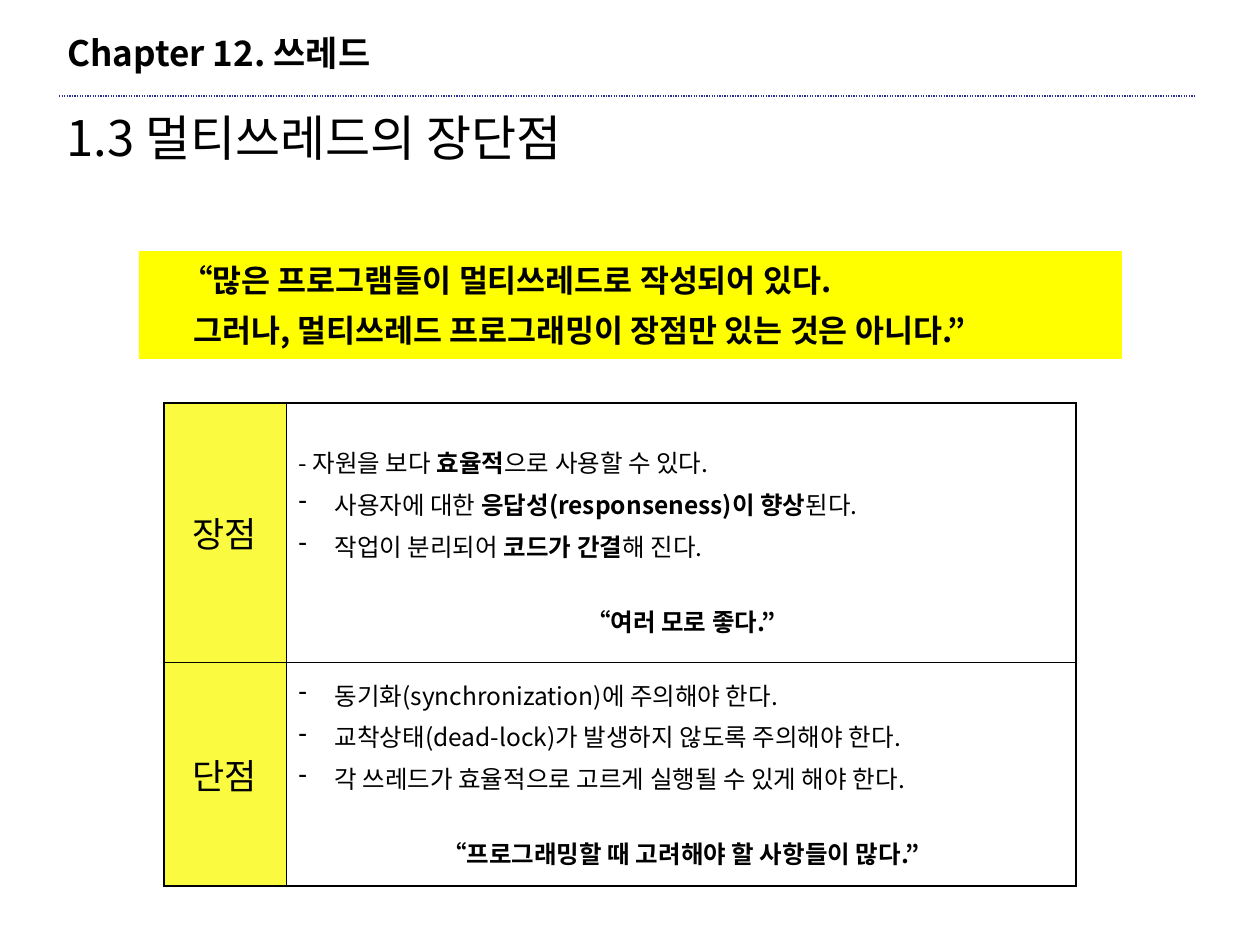
from lxml import etree
from pptx import Presentation
from pptx.dml.color import RGBColor
from pptx.enum.dml import MSO_LINE
from pptx.enum.shapes import MSO_CONNECTOR, MSO_SHAPE
from pptx.enum.text import MSO_ANCHOR, PP_ALIGN
from pptx.oxml.ns import qn
from pptx.util import Emu, Pt

STRAIGHT = MSO_CONNECTOR.STRAIGHT
RECT = MSO_SHAPE.RECTANGLE
DOTTED = MSO_LINE.ROUND_DOT
MIDDLE = MSO_ANCHOR.MIDDLE
LEFT, CENTER = PP_ALIGN.LEFT, PP_ALIGN.CENTER

FONT = "Noto Sans CJK KR"
COLORS = {"text": "000000", "rule": "2F2F98", "banner": "FFFF00", "label": "FAFA40"}
OUTER, INNER = 1.08, 0.45  # table border widths in points


def px(n):
    return Emu(round(n * 914400 / 126))


def rgb(name):
    return RGBColor.from_string(COLORS[name])


class Deck:
    def __init__(self, width, height):
        self.prs = Presentation()
        self.prs.slide_width, self.prs.slide_height = px(width), px(height)
        self.slide = self.prs.slides.add_slide(self.prs.slide_layouts[6])

    def paragraph(self, p, text, size, bold=False, align=LEFT, before=0, left=0, bullet=None):
        """Fill a paragraph; parts between asterisks are bold."""
        pPr = p._p.get_or_add_pPr()
        pPr.set("marL", str(px(left)))
        pPr.set("indent", str(-px(left) if bullet else 0))
        if bullet:
            etree.SubElement(pPr, qn("a:buChar")).set("char", bullet)
        else:
            etree.SubElement(pPr, qn("a:buNone"))
        p.alignment = align
        p.space_before = Pt(before)
        for i, part in enumerate(text.split("*")):
            if not part:
                continue
            r = p.add_run()
            r.text = part
            r.font.size, r.font.name = Pt(size), FONT
            r.font.bold = bold or i % 2 == 1
            r.font.color.rgb = rgb("text")
            etree.SubElement(r.font._element, qn("a:ea")).set("typeface", FONT)

    def paragraphs(self, tf, lines, size, **style):
        """Add one paragraph per (text, own style) pair."""
        tf.word_wrap = True
        for i, (text, own) in enumerate(lines):
            p = tf.add_paragraph() if i else tf.paragraphs[0]
            self.paragraph(p, text, size, **{**style, **own})

    def text(self, x, y, w, h, text, size, bold=False):
        tf = self.slide.shapes.add_textbox(px(x), px(y), px(w), px(h)).text_frame
        tf.vertical_anchor = MIDDLE
        self.paragraphs(tf, [(text, {})], size, bold=bold)

    def rule(self, x1, x2, y):
        s = self.slide.shapes.add_connector(STRAIGHT, px(x1), px(y), px(x2), px(y))
        s.line.color.rgb = rgb("rule")
        s.line.width = Pt(0.75)
        s.line.dash_style = DOTTED
        etree.SubElement(s._element.spPr, qn("a:effectLst"))

    def banner(self, x, y, w, h, lines, size):
        sp = self.slide.shapes.add_shape(RECT, px(x), px(y), px(w), px(h))
        sp.shadow.inherit = False
        sp.fill.solid()
        sp.fill.fore_color.rgb = rgb("banner")
        sp.line.fill.background()
        tf = sp.text_frame
        tf.vertical_anchor = MIDDLE
        tf.margin_top = tf.margin_bottom = 0
        self.paragraphs(tf, lines, size, bold=True)

    def border(self, cell, widths):
        tcPr = cell._tc.get_or_add_tcPr()
        for side, width in zip("LRTB", widths):
            ln = etree.SubElement(tcPr, qn("a:ln" + side), w=str(Pt(width)))
            fill = etree.SubElement(ln, qn("a:solidFill"))
            etree.SubElement(fill, qn("a:srgbClr"), val=COLORS["text"])

    def table(self, x, y, cols, rows, cells):
        """Cells hold (lines, size, top margin); the first column is tinted."""
        frame = self.slide.shapes.add_table(
            len(rows), len(cols), px(x), px(y), px(sum(cols)), px(sum(rows)))
        table = frame.table
        table.first_row = table.horz_banding = False
        for column, width in zip(table.columns, cols):
            column.width = px(width)
        for i, (height, row) in enumerate(zip(rows, cells)):
            table.rows[i].height = px(height)
            for j, (lines, size, top) in enumerate(row):
                cell = table.cell(i, j)
                edges = (j == 0, j == len(cols) - 1, i == 0, i == len(rows) - 1)
                self.border(cell, [OUTER if edge else INNER for edge in edges])
                if j == 0:
                    cell.fill.solid()
                    cell.fill.fore_color.rgb = rgb("label")
                else:
                    cell.fill.background()
                cell.vertical_anchor = MIDDLE
                cell.margin_top = px(top)
                self.paragraphs(cell.text_frame, lines, size)


def label(text):
    return [(text, {"align": CENTER})], 20, 6


def item(text, before=3.5):
    return text, {"bullet": "-", "left": 36, "before": before}


def verdict(text):
    return text, {"bold": True, "align": CENTER, "before": 22.5}


def main():
    deck = Deck(1260, 945)

    # Chapter heading and section title
    deck.rule(59, 1196, 96)
    deck.text(55, 24, 525, 56, "Chapter 12. 쓰레드", 20, bold=True)
    deck.text(54, 101, 1181, 72, "1.3 멀티쓰레드의 장단점", 28)

    # Key message
    deck.banner(139, 251, 983, 108, [
        ("“많은 프로그램들이 멀티쓰레드로 작성되어 있다.", {"left": 30}),
        ("그러나, 멀티쓰레드 프로그래밍이 장점만 있는 것은 아니다.”",
         {"left": 42, "before": 7}),
    ], 18)

    # Pros and cons
    pros = [
        ("- 자원을 보다 *효율적*으로 사용할 수 있다.", {}),
        item("사용자에 대한 *응답성(responseness)이 향상*된다."),
        item("작업이 분리되어 *코드가 간결*해 진다."),
        verdict("“여러 모로 좋다.”"),
    ]
    cons = [
        item("동기화(synchronization)에 주의해야 한다.", before=0),
        item("교착상태(dead-lock)가 발생하지 않도록 주의해야 한다."),
        item("각 쓰레드가 효율적으로 고르게 실행될 수 있게 해야 한다."),
        verdict("“프로그래밍할 때 고려해야 할 사항들이 많다.”"),
    ]
    deck.table(164, 403, [122, 790], [259, 224], [
        [label("장점"), (pros, 14, 24)],
        [label("단점"), (cons, 14, 6)],
    ])

    deck.prs.save("out.pptx")


if __name__ == "__main__":
    main()
